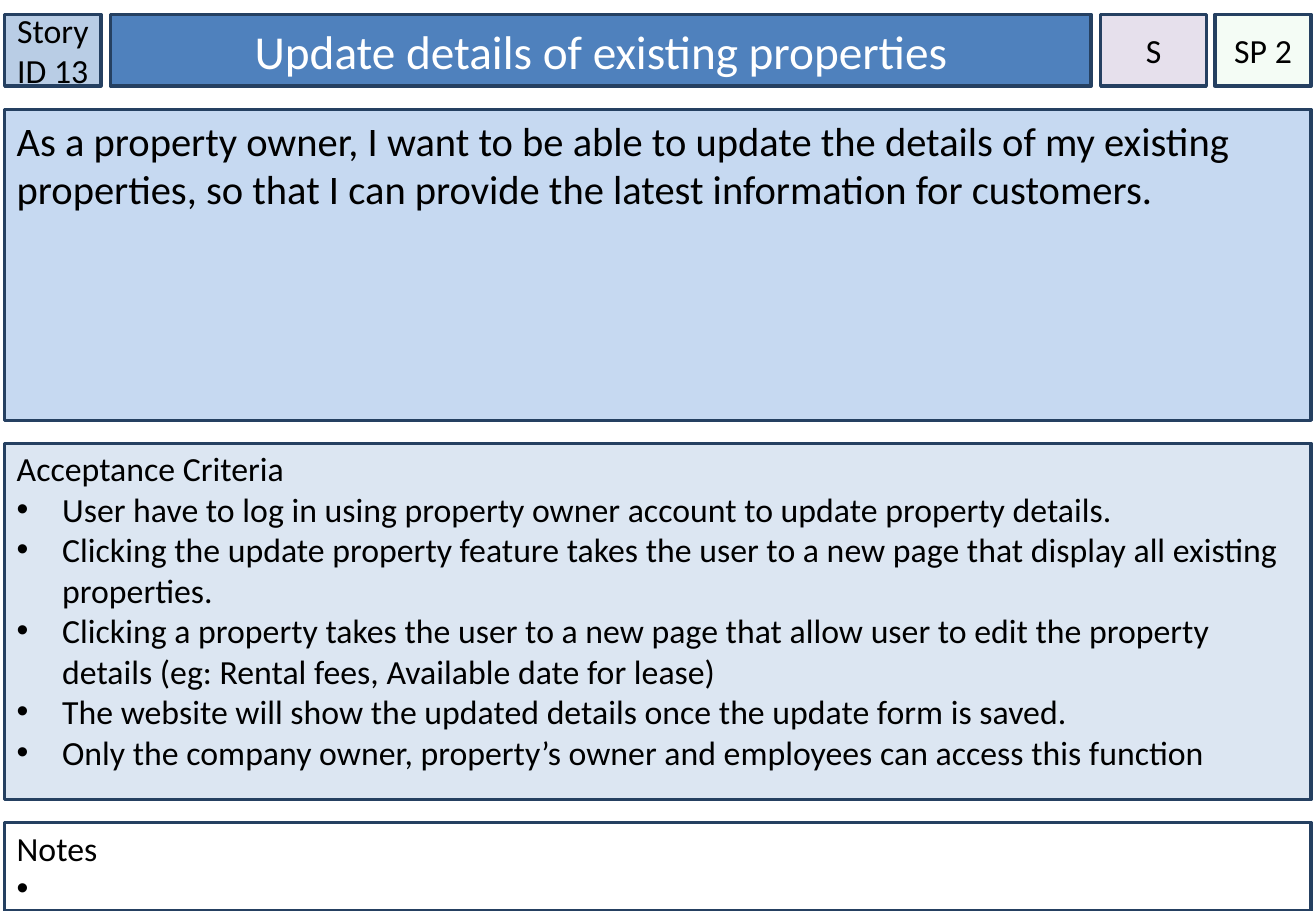
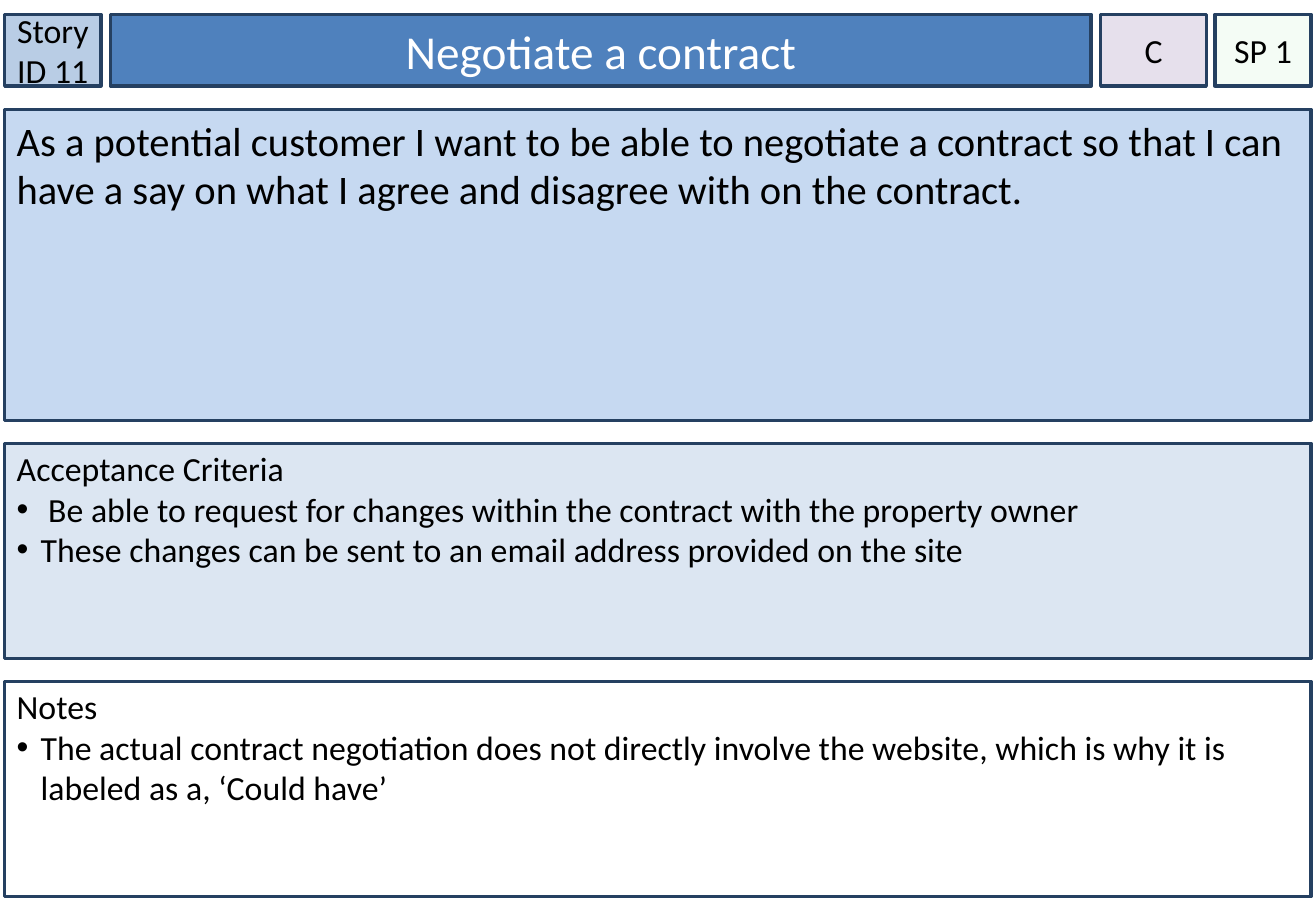
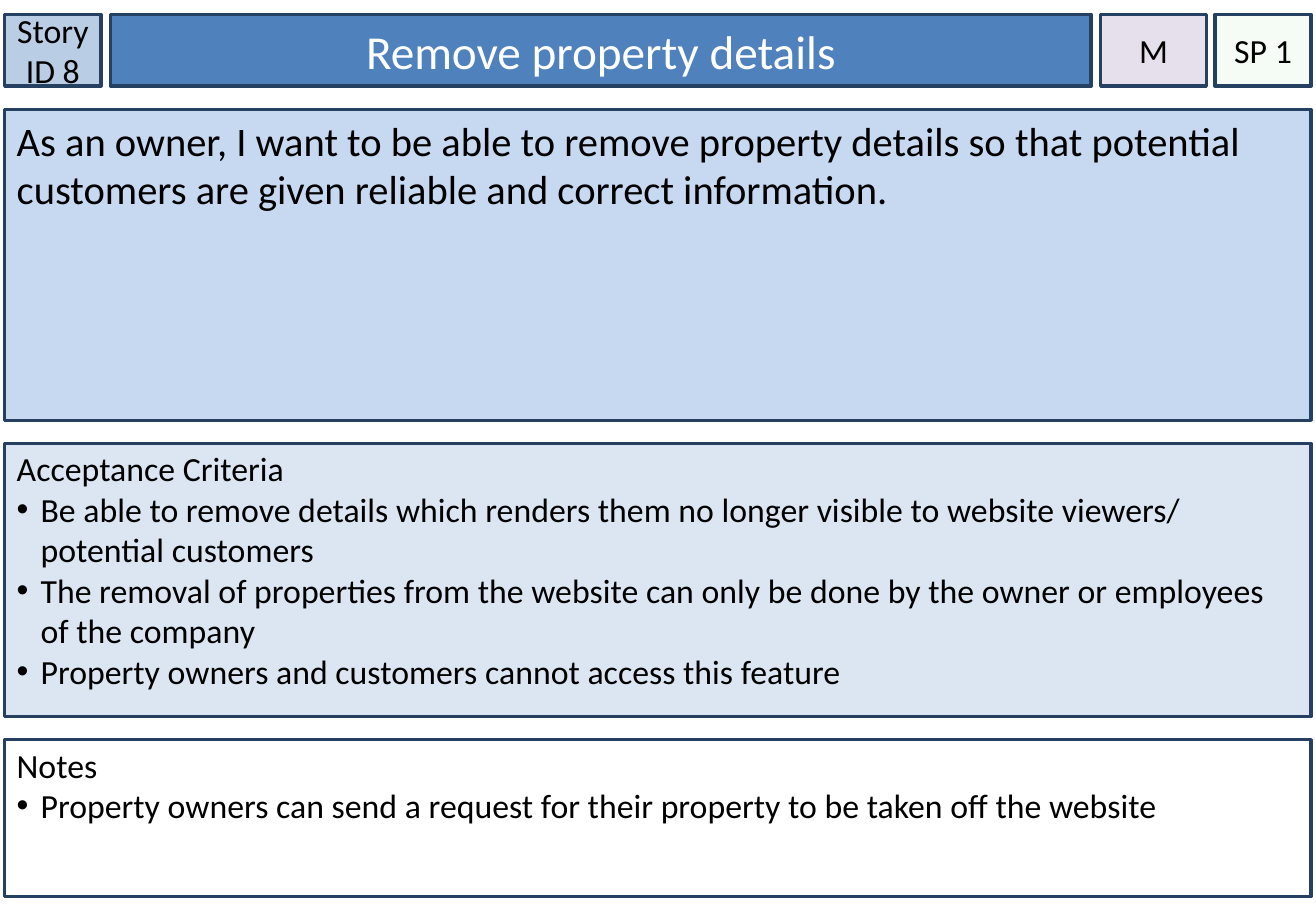
from lxml import etree
from pptx import Presentation
from pptx.dml.color import RGBColor as RGB
from pptx.enum.shapes import MSO_SHAPE as SHAPE
from pptx.enum.text import MSO_ANCHOR as ANCHOR, PP_ALIGN as ALIGN
from pptx.oxml.ns import qn
from pptx.util import Cm, Pt

# Shared look
HUES = {
    "line": "254061", "id": "B9CDE5", "title": "4F81BD", "story": "C6D9F1",
    "tests": "DCE6F2", "notes": "FFFFFF", "rank": "E6E0EC", "points": "CCF0CD",
    "dark": "000000", "light": "FFFFFF",
}
FONT = "Calibri"
LEFT, WIDE, GAP = 0.1, 27.31, 0.48
TOP, HIGH = 0.3, 1.5
STORY_TOP, STORY_HIGH = 2.29, 6.5
TESTS_TOP = STORY_TOP + STORY_HIGH + GAP

# Header boxes: name, left, width, side inset, text size, text colour
HEAD = [
    ("id", LEFT, 2.01, 0, 20, "dark"),
    ("title", 2.31, 20.5, 0.25, 28, "light"),
    ("points", 25.4, 2.01, 0, 20, "dark"),
    ("rank", 23.01, 2.21, 0, 20, "dark"),
]

# Story cards: indent is for the criteria, tall is their box, foot ends the notes
CARDS = [
    {
        "id": "Story ID 13", "title": "Update details of existing properties",
        "rank": "S", "points": "SP 2", "indent": 0.95, "tall": 7.45, "foot": 19.05,
        "story": "As a property owner, I want to be able to update the details of my "
                 "existing properties, so that I can provide the latest information "
                 "for customers.",
        "tests": [
            "User have to log in using property owner account to update property details.",
            "Clicking the update property feature takes the user to a new page that "
            "display all existing properties.",
            "Clicking a property takes the user to a new page that allow user to edit "
            "the property details (eg: Rental fees, Available date for lease)",
            "The website will show the updated details once the update form is saved.",
            "Only the company owner, property’s owner and employees can access this "
            "function",
        ],
        "notes": [" "],
    },
    {
        "id": "Story ID 11", "title": "Negotiate a contract",
        "rank": "C", "points": "SP 1", "indent": 0.5, "tall": 4.5, "foot": 18.75,
        "story": "As a potential customer I want to be able to negotiate a contract so "
                 "that I can have a say on what I agree and disagree with on the "
                 "contract.",
        "tests": [
            " Be able to request for changes within the contract with the property owner",
            "These changes can be sent to an email address provided on the site",
        ],
        "notes": [
            "The actual contract negotiation does not directly involve the website, "
            "which is why it is labeled as a, ‘Could have’ ",
        ],
    },
    {
        "id": "Story ID 8", "title": "Remove property details",
        "rank": "M", "points": "SP 1", "indent": 0.5, "tall": 5.72, "foot": 18.75,
        "story": "As an owner, I want to be able to remove property details so that "
                 "potential customers are given reliable and correct information.",
        "tests": [
            "Be able to remove details which renders them no longer visible to website "
            "viewers/ potential customers",
            "The removal of properties from the website can only be done by the owner "
            "or employees of the company",
            "Property owners and customers cannot access this feature",
        ],
        "notes": [
            "Property owners can send a request for their property to be taken off the "
            "website ",
        ],
    },
]


def add_box(slide, name, area, lines, size, align=ALIGN.LEFT, anchor=ANCHOR.TOP,
            side=0.25, top=0.13, hue="dark"):
    box = slide.shapes.add_shape(SHAPE.RECTANGLE, *[Cm(n) for n in area])
    box.shadow.inherit = False
    box.fill.solid()
    box.fill.fore_color.rgb = RGB.from_string(HUES[name])
    box.line.color.rgb = RGB.from_string(HUES["line"])
    box.line.width = Pt(2)
    frame = box.text_frame
    frame.word_wrap = True
    frame.vertical_anchor = anchor
    frame.margin_left = frame.margin_right = Cm(side)
    frame.margin_top, frame.margin_bottom = Cm(top), Cm(0.13)
    frame.text = "\n".join(lines)
    for para in frame.paragraphs:
        para.alignment = align
        for run in para.runs:
            run.font.name, run.font.size = FONT, Pt(size)
            run.font.color.rgb = RGB.from_string(HUES[hue])
    return box


def add_list(slide, name, area, head, items, indent):
    box = add_box(slide, name, area, [head] + items, 20, top=0.1)
    for para in box.text_frame.paragraphs[1:]:
        props = para._p.get_or_add_pPr()
        props.set("marL", str(Cm(indent)))
        props.set("indent", str(-Cm(indent)))
        etree.SubElement(props, qn("a:buFont")).set("typeface", "Arial")
        etree.SubElement(props, qn("a:buChar")).set("char", "•")


deck = Presentation()
deck.slide_width, deck.slide_height = Cm(27.51), Cm(19.05)

for card in CARDS:
    slide = deck.slides.add_slide(deck.slide_layouts[6])

    # Header row
    for name, left, wide, side, size, hue in HEAD:
        box = add_box(slide, name, (left, TOP, wide, HIGH), [card[name]], size,
                      ALIGN.CENTER, ANCHOR.MIDDLE, side, hue=hue)
        if name == "points":
            tint = box._element.spPr.find(qn("a:solidFill"))[0]
            etree.SubElement(tint, qn("a:alpha")).set("val", "20000")

    # Story
    add_box(slide, "story", (LEFT, STORY_TOP, WIDE, STORY_HIGH), [card["story"]], 24)

    # Criteria, with the notes below
    add_list(slide, "tests", (LEFT, TESTS_TOP, WIDE, card["tall"]),
             "Acceptance Criteria", card["tests"], card["indent"])
    low = TESTS_TOP + card["tall"] + GAP
    add_list(slide, "notes", (LEFT, low, WIDE, card["foot"] - low),
             "Notes", card["notes"], 0.5)

deck.save("out.pptx")
